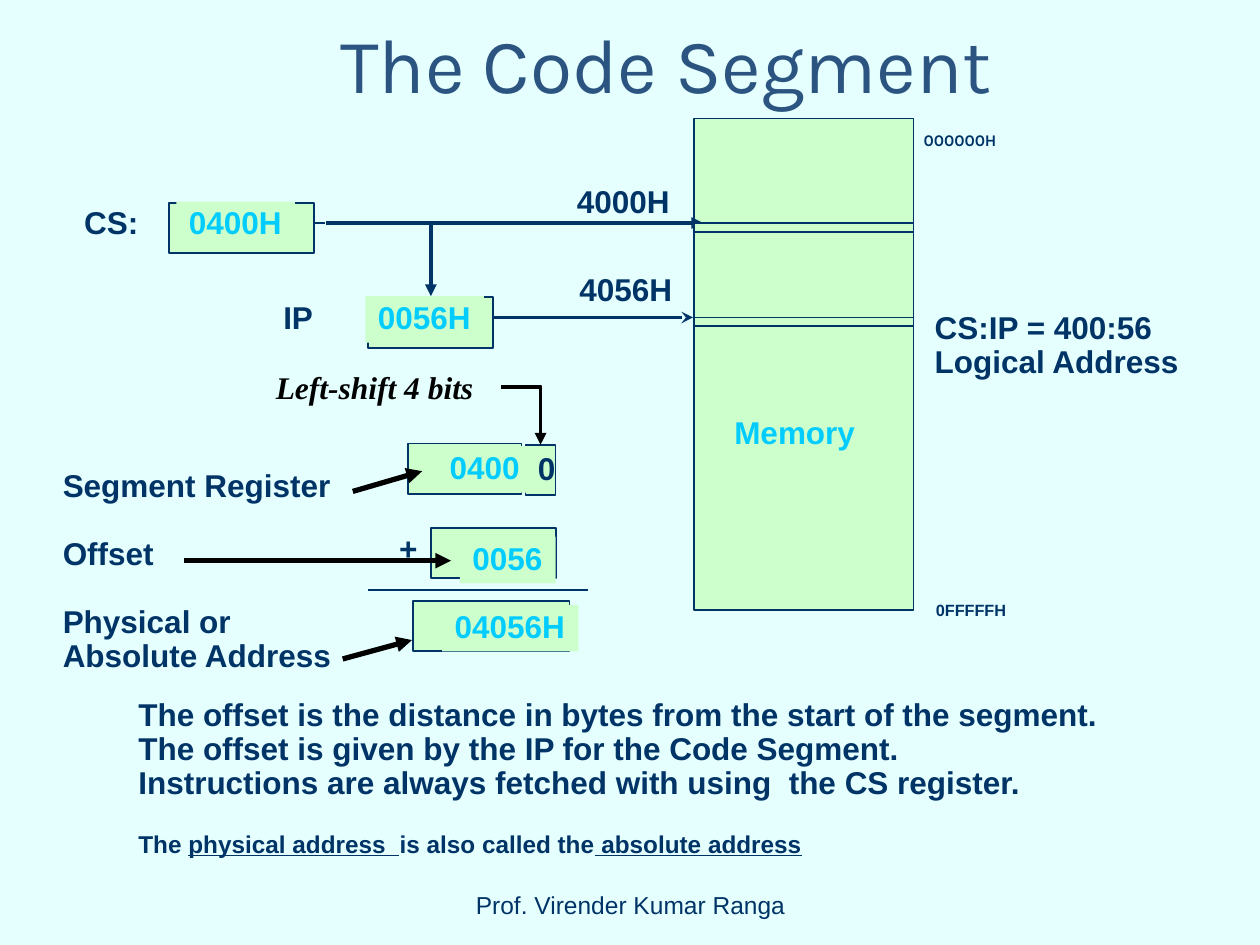
"""Build the slide on addressing within the code segment."""
from dataclasses import dataclass, field

from lxml import etree
from pptx import Presentation
from pptx.dml.color import RGBColor
from pptx.enum.shapes import MSO_CONNECTOR, MSO_SHAPE
from pptx.enum.text import MSO_ANCHOR, PP_ALIGN
from pptx.oxml.ns import qn
from pptx.util import Inches, Pt

RECT = MSO_SHAPE.RECTANGLE
STRAIGHT, ELBOW = MSO_CONNECTOR.STRAIGHT, MSO_CONNECTOR.ELBOW
TOP, MIDDLE, BOTTOM = MSO_ANCHOR.TOP, MSO_ANCHOR.MIDDLE, MSO_ANCHOR.BOTTOM
LEFT, CENTER = PP_ALIGN.LEFT, PP_ALIGN.CENTER
NAVY, CYAN, GREEN, BLACK = "003366", "00CCFF", "CCFFCC", "000000"
PALE, TITLE_BLUE = "E5FFFF", "2B5481"
BOLD = {"name": "Arial", "size": Pt(18), "bold": True}
LOWERED = {"name": "Arial", "size": Pt(16), "bold": True}
NOTE = {**BOLD, "size": Pt(24)}
UNDERLINED = {**NOTE, "underline": True}
SUBSCRIPT = "-25000"


@dataclass
class Label:
    at: tuple[float, float, float, float]
    lines: list[str]
    color: str = NAVY
    font: dict = field(default_factory=lambda: BOLD)
    fill: str | None = None
    wrap: bool = False
    align: PP_ALIGN = LEFT
    anchor: MSO_ANCHOR = TOP
    spacing: float = 0.9
    gaps: dict[int, float] = field(default_factory=dict)
    lowered: bool = False


@dataclass
class Line:
    start: tuple[float, float]
    end: tuple[float, float]
    width: float = 1
    color: str = NAVY
    head: str | None = None
    kind: MSO_CONNECTOR = STRAIGHT


BOXES = [
    (5.51, 0.94, 1.74, 3.9), (1.34, 1.61, 1.15, 0.4), (2.92, 2.36, 0.99, 0.4),
    (3.24, 3.52, 0.9, 0.4), (4.17, 3.53, 0.24, 0.4), (3.42, 4.19, 0.99, 0.4),
    (3.28, 4.77, 1.24, 0.4),
]
MEMORY_CELLS = [(5.51, top, 1.74, 0.07) for top in (1.77, 2.52)]
ADDRESS_LINES = [
    Line((2.59, 1.77), (5.58, 1.77), 2.25, head="triangle"),
    Line((3.42, 1.77), (3.42, 2.35), 2.25, head="triangle"),
    Line((3.92, 2.52), (5.5, 2.52), 2.25, head="stealth"),
    Line((2.92, 4.68), (4.67, 4.68)),
    Line((2.5, 1.77), (2.58, 1.77)),
]
POINTERS = [
    Line((2.72, 5.23), (3.27, 5.08), 3, BLACK, "triangle"),
    Line((1.46, 4.45), (3.58, 4.45), 3, BLACK, "triangle"),
    Line((2.8, 3.9), (3.35, 3.74), 3, BLACK, "triangle"),
    Line((3.98, 3.07), (4.29, 3.53), 2.25, BLACK, "triangle", ELBOW),
]
CHIPS = [
    Label((left, top, width, 0.37), [text], CYAN, fill=GREEN)
    for left, top, width, text in [
        (1.4, 1.6, 0.94, "0400H"), (2.9, 2.35, 0.94, "0056H"),
        (3.47, 3.54, 0.76, "0400"), (3.65, 4.26, 0.76, "0056"),
        (3.51, 4.8, 1.08, "04056H"),
    ]
]
LABELS = [
    Label((7.2, 0.84, 1.03, 0.65), [" 000000H"], wrap=True, lowered=True,
          font={**LOWERED, "name": "Karla"}),
    Label((7.33, 4.57, 0.76, 0.37), ["0FFFFFH"], font=LOWERED, lowered=True),
    Label((5.73, 3.26, 1.16, 0.37), ["Memory"], CYAN),
    Label((0.4, 3.68, 2.34, 1.72),
          ["Segment Register", "Offset", "Physical or", "Absolute Address"],
          gaps={1: 19.4, 2: 19.4}),
    Label((4.17, 3.53, 0.24, 0.4), ["0"], align=CENTER, anchor=MIDDLE),
    Label((3.07, 4.18, 0.35, 0.37), ["+"]),
    Label((0.57, 1.6, 0.63, 0.37), ["CS:"]),
    Label((2.15, 2.35, 0.44, 0.37), ["IP"]),
    Label((4.48, 1.43, 0.94, 0.37), ["4000H"]),
    Label((4.5, 2.13, 0.94, 0.37), ["4056H"]),
    Label((7.32, 2.43, 2.15, 0.64), ["CS:IP = 400:56", "Logical Address"]),
    Label((2.09, 2.87, 1.89, 0.4), ["Left-shift 4 bits"], BLACK, wrap=True,
          font={**BOLD, "name": "Times New Roman", "italic": True}, spacing=1,
          gaps={0: 11.2}),
    Label((3.42, 6.83, 3.17, 0.52), ["Prof. Virender Kumar Ranga"], wrap=True,
          font={"name": "Arial", "size": Pt(14)}, align=CENTER, anchor=BOTTOM,
          spacing=1),
]
SUMMARY = Label((1, 5.5, 8.5, 1.32), [
    "The offset is the distance in bytes from the start of the segment.",
    "The offset is given by the IP for the Code Segment.",
    "Instructions are always fetched with using  the CS register.",
], wrap=True)
NOTE_RUNS = [
    ("The ", NOTE), ("physical address  ", UNDERLINED),
    ("is also called the", NOTE), (" absolute address", UNDERLINED),
]


def rgb(color: str) -> RGBColor:
    return RGBColor.from_string(color)


def add_run(p, text: str, font: dict, color: str, lowered: bool = False):
    r = p.add_run()
    r.text = text
    for name, value in font.items():
        setattr(r.font, name, value)
    r.font.color.rgb = rgb(color)
    if lowered:
        r.font._element.set("baseline", SUBSCRIPT)


def add_box(slide, at: tuple[float, float, float, float]):
    sp = slide.shapes.add_shape(RECT, *map(Inches, at))
    sp.shadow.inherit = False
    sp.fill.solid()
    sp.fill.fore_color.rgb = rgb(GREEN)
    sp.line.color.rgb = rgb(NAVY)
    sp.line.width = Pt(1)


def add_label(slide, label: Label):
    sp = slide.shapes.add_textbox(*map(Inches, label.at))
    if label.fill:
        sp.fill.solid()
        sp.fill.fore_color.rgb = rgb(label.fill)
    tf = sp.text_frame
    tf.word_wrap = label.wrap
    tf.vertical_anchor = label.anchor
    for i, text in enumerate(label.lines):
        p = tf.add_paragraph() if i else tf.paragraphs[0]
        p.alignment = label.align
        p.line_spacing = label.spacing
        p.space_before = Pt(label.gaps.get(i, 0))
        add_run(p, text, label.font, label.color, label.lowered)
    return tf


def add_line(slide, line: Line):
    ends = map(Inches, (*line.start, *line.end))
    sp = slide.shapes.add_connector(line.kind, *ends)
    sp.line.color.rgb = rgb(line.color)
    sp.line.width = Pt(line.width)
    props = sp._element.spPr
    if line.kind == ELBOW:
        props.find(qn("a:prstGeom")).set("prst", "bentConnector2")
    if line.head:
        etree.SubElement(sp.line._get_or_add_ln(), qn("a:tailEnd"), type=line.head)
    etree.SubElement(props, qn("a:effectLst"))


def add_title(slide, text: str):
    sp = slide.shapes.title
    sp.left, sp.top, sp.width, sp.height = map(Inches, (1.33, 0, 7.92, 1))
    tf = sp.text_frame
    tf.vertical_anchor = MIDDLE
    p = tf.paragraphs[0]
    p.alignment = CENTER
    add_run(p, text, {"name": "Karla", "size": Pt(44)}, TITLE_BLUE)


def main():
    prs = Presentation()
    prs.slide_width, prs.slide_height = Inches(10), Inches(7.5)
    slide = prs.slides.add_slide(prs.slide_layouts[5])
    slide.background.fill.solid()
    slide.background.fill.fore_color.rgb = rgb(PALE)
    add_title(slide, "The Code Segment")
    for at in BOXES:
        add_box(slide, at)
    for line in ADDRESS_LINES:
        add_line(slide, line)
    for at in MEMORY_CELLS:
        add_box(slide, at)
    for label in CHIPS + LABELS:
        add_label(slide, label)
    p = add_label(slide, SUMMARY).add_paragraph()
    p.line_spacing = SUMMARY.spacing
    for text, font in NOTE_RUNS:
        add_run(p, text, font, NAVY, lowered=True)
    for line in POINTERS:
        add_line(slide, line)
    prs.save("out.pptx")


if __name__ == "__main__":
    main()
